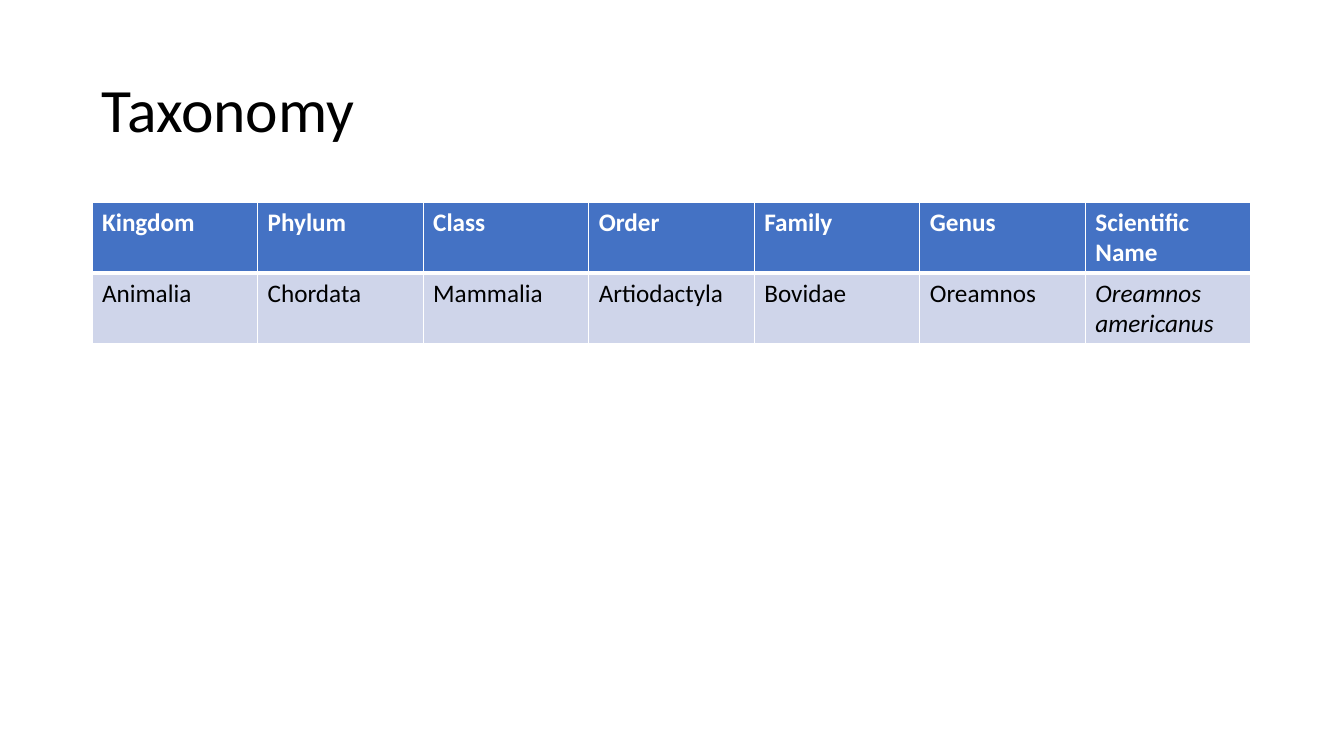
from lxml import etree
from pptx import Presentation
from pptx import util as u
from pptx.dml.color import RGBColor
from pptx.enum import text
from pptx.oxml.ns import qn

EMU_PER_PX = 914400 / 100.8
FONT = "Calibri"
COLORS = {
    "black": "000000",
    "white": "FFFFFF",
    "header": "4472C4",
    "band": "CFD5EA",
}
# Rank, name
TAXONOMY = [
    ("Kingdom", "Animalia"),
    ("Phylum", "Chordata"),
    ("Class", "Mammalia"),
    ("Order", "Artiodactyla"),
    ("Family", "Bovidae"),
    ("Genus", "Oreamnos"),
    ("Scientific Name", "Oreamnos americanus"),
]


def px(length):
    return u.Emu(round(length * EMU_PER_PX))


def color(name):
    return RGBColor.from_string(COLORS[name])


def add_run(paragraph, words, size, color_name, bold=False, italic=False):
    run = paragraph.add_run()
    run.text = words
    font = run.font
    font.name, font.size = FONT, u.Pt(size)
    font.bold, font.italic = bold, italic
    font.color.rgb = color(color_name)


def add_title(slide, words, left, top, width, height):
    box = slide.shapes.add_textbox(px(left), px(top), px(width), px(height))
    frame = box.text_frame
    frame.word_wrap = True
    frame.vertical_anchor = text.MSO_ANCHOR.MIDDLE
    paragraph = frame.paragraphs[0]
    paragraph.line_spacing = 0.9
    add_run(paragraph, words, 44, "black")


def set_borders(cell, **widths):
    properties = cell._tc.get_or_add_tcPr()
    for side in "LRTB":
        width = u.Pt(widths.get(side, 1))
        line = etree.SubElement(properties, qn(f"a:ln{side}"), w=str(width))
        fill = etree.SubElement(line, qn("a:solidFill"))
        etree.SubElement(fill, qn("a:srgbClr"), val=COLORS["white"])


def fill_cell(cell, words, fill_name, color_name, borders, **style):
    set_borders(cell, **borders)
    cell.fill.solid()
    cell.fill.fore_color.rgb = color(fill_name)
    add_run(cell.text_frame.paragraphs[0], words, 18, color_name, **style)


def add_taxonomy_table(slide, left, top, width, height):
    frame = slide.shapes.add_table(
        2, len(TAXONOMY), px(left), px(top), px(width), px(height))
    table = frame.table
    for column, (rank, name) in enumerate(TAXONOMY):
        # A thick white rule parts the header from the body
        fill_cell(table.cell(0, column), rank, "header", "white",
                  {"B": 3}, bold=True)
        fill_cell(table.cell(1, column), name, "band", "black",
                  {"T": 3}, italic=rank == "Scientific Name")


def main():
    presentation = Presentation()
    presentation.slide_width = px(1344)
    presentation.slide_height = px(756)
    slide = presentation.slides.add_slide(presentation.slide_layouts[6])

    # Title
    add_title(slide, "Taxonomy", 92, 40, 1159, 146)

    # Classification table
    add_taxonomy_table(slide, 92, 202, 1159, 142)

    presentation.save("out.pptx")


if __name__ == "__main__":
    main()
